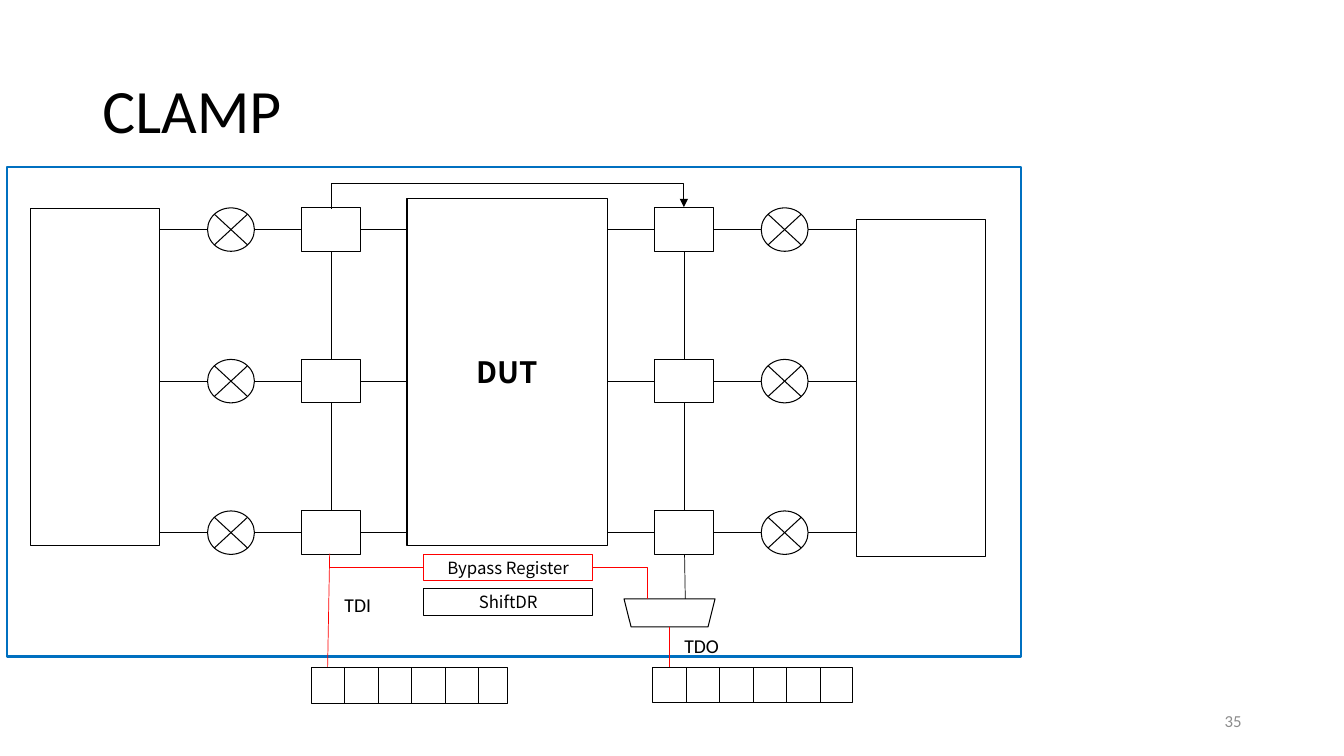
from lxml import etree
from pptx import Presentation
from pptx import util as u
from pptx.dml.color import RGBColor
from pptx.enum import shapes, text
from pptx.oxml import ns

Pt = u.Pt
KIND = shapes.MSO_SHAPE
WIRE = shapes.MSO_CONNECTOR
ALIGN = text.PP_ALIGN
COLORS = {"ink": "000000", "red": "FF0000", "blue": "0070C0", "grey": "8C8C8C"}
LATIN, CJK = "Calibri", "Noto Sans CJK SC"


def color(name):
    return RGBColor.from_string(COLORS[name])


def write(frame, words, ink="ink", align=ALIGN.LEFT, **font):
    frame.text = words
    frame.paragraphs[0].alignment = align
    run = frame.paragraphs[0].runs[0]
    for key, value in font.items():
        setattr(run.font, key, value)
    run.font.color.rgb = color(ink)


def outline(slide, box, kind=KIND.RECTANGLE, ink="ink", weight=0.75):
    part = slide.shapes.add_shape(kind, *map(Pt, box))
    part.shadow.inherit = False
    part.fill.background()
    part.line.color.rgb = color(ink)
    part.line.width = Pt(weight)
    return part


def labelled(slide, box, words, ink="ink", **font):
    part = outline(slide, box, ink=ink)
    frame = part.text_frame
    margins = dict(margin_left=2, margin_right=2, margin_top=1.5, margin_bottom=1.5)
    for key, value in margins.items():
        setattr(frame, key, Pt(value))
    frame.word_wrap = False
    frame.vertical_anchor = text.MSO_ANCHOR.MIDDLE
    write(frame, words, align=ALIGN.CENTER, name=CJK, **font)


def caption(slide, box, words, **font):
    frame = slide.shapes.add_textbox(*map(Pt, box)).text_frame
    frame.word_wrap = True
    write(frame, words, name=LATIN, **font)
    return frame


def wire(slide, start, end, ink="ink", bend=None, turn=0, arrow=False):
    kind = WIRE.STRAIGHT if bend is None else WIRE.ELBOW
    line = slide.shapes.add_connector(kind, *map(Pt, (*start, *end)))
    line.line.color.rgb = color(ink)
    line.line.width = Pt(0.5)
    props = line._element.spPr
    if bend is not None:
        guides = props.find(ns.qn("a:prstGeom")).get_or_add_avLst()
        etree.SubElement(guides, ns.qn("a:gd"), name="adj1", fmla=f"val {round(bend * 100000)}")
    if turn:
        props.find(ns.qn("a:xfrm")).set("rot", str(turn * 60000))
    if arrow:
        etree.SubElement(line.line._get_or_add_ln(), ns.qn("a:tailEnd"), type="triangle")
    etree.SubElement(props, ns.qn("a:effectLst"))


def heading(slide, box):
    title = slide.shapes.title
    for key, value in zip(("left", "top", "width", "height"), box):
        setattr(title, key, Pt(value))
    frame = title.text_frame
    frame.vertical_anchor = text.MSO_ANCHOR.MIDDLE
    write(frame, "CLAMP", name=LATIN, size=Pt(44))
    frame.paragraphs[0].line_spacing = 0.9


def boundary_scan(slide, box):
    """Board with the device, its boundary cells and the outer panels."""
    left, top, width, height = box
    outline(slide, box, ink="blue", weight=1.5)
    dut_left, dut_width = left + 285.75, 143.5
    labelled(slide, (dut_left, top + 23, dut_width, 247.5), "DUT", size=Pt(21), bold=True)
    for x, y in ((16.5, 30), (607, 38)):
        outline(slide, (left + x, top + y, 92.25, 240.5))

    # Three rows of pins, each wired from panel to panel
    rows = [top + 45 + row * 108.25 for row in range(3)]
    cells, junctions = (left + 210.5, left + 462.5), (left + 143.25, left + 538.75)
    cell_width, junction_width, part_height = 42, 33.5, 31
    gaps = [(left + 109, junctions[0]),
            (junctions[0] + junction_width, cells[0]),
            (cells[0] + cell_width, dut_left),
            (dut_left + dut_width, cells[1]),
            (cells[1] + cell_width, junctions[1]),
            (junctions[1] + junction_width, left + 607)]
    for y in rows:
        for x in cells:
            outline(slide, (x, y - part_height / 2, cell_width, part_height))
        for x in junctions:
            outline(slide, (x, y - part_height / 2, junction_width, part_height),
                    KIND.FLOWCHART_SUMMING_JUNCTION)
        for start, end in gaps:
            wire(slide, (start, y), (end, y))

    # Scan chain down each column of cells, joined across the top
    for x in cells:
        middle = x + cell_width / 2
        for upper, lower in zip(rows, rows[1:]):
            wire(slide, (middle, upper + part_height / 2), (middle, lower - part_height / 2))
    span = cells[1] - cells[0]
    centre_x = (sum(cells) + cell_width) / 2
    centre_y = rows[0] - part_height / 2
    wire(slide, (centre_x + 0.5, centre_y + span / 2), (centre_x - 0.5, centre_y - span / 2),
         bend=18, turn=90, arrow=True)


def test_path(slide, box):
    """Registers and multiplexer between TDI and TDO."""
    left, top, width, height = box
    register_left, register_width = left + 68.5, 121
    for y, words, ink in ((0.5, "Bypass Register", "red"), (25, "ShiftDR", "ink")):
        labelled(slide, (register_left, top + y, register_width, 19), words, ink, size=Pt(12))
    mux_top, mux_height = top + 32.25, 20
    mux = outline(slide, (left + 211.75, mux_top, 65, mux_height), KIND.TRAPEZOID)
    mux.rotation = 180

    # Red bypass route from TDI to TDO, and the black scan input
    bypass_y, output_x = top + 10, left + 244.25
    wire(slide, (left + 1.5, top), (left, top + height), "red")
    wire(slide, (left + 1.5, bypass_y), (register_left, bypass_y), "red")
    wire(slide, (register_left + register_width, bypass_y), (left + 228, mux_top), "red", bend=1.02)
    wire(slide, (left + 255, top + 0.5), (left + 255.5, mux_top))
    wire(slide, (output_x, mux_top + mux_height), (output_x, top + height), "red")
    for x, y, pin in ((5, 24.25, "TDI"), (247.75, 53.75, "TDO")):
        caption(slide, (left + x, top + y, 42, 24), pin, size=Pt(14))


def shift_strip(slide, box, last_width):
    left, top, width, height = box
    count = 6
    pitch = (width - last_width) / (count - 1)
    for index in range(count):
        cell = pitch if index < count - 1 else last_width
        outline(slide, (left + index * pitch, top, cell, height))


def page_number(slide, box):
    frame = caption(slide, box, "35", ink="grey", align=ALIGN.RIGHT, size=Pt(12))
    frame.vertical_anchor = text.MSO_ANCHOR.MIDDLE


def main():
    deck = Presentation()
    deck.slide_width, deck.slide_height = Pt(960), Pt(540)
    slide = deck.slides.add_slide(deck.slide_layouts[5])
    heading(slide, (66, 28.75, 828, 104.5))
    boundary_scan(slide, (5, 119, 724.5, 350))
    test_path(slide, (234, 395.5, 277, 81.5))
    shift_strip(slide, (222.5, 477, 140, 25.5), 20.5)
    shift_strip(slide, (466.25, 477, 142.75, 25), 23)
    page_number(slide, (678, 500.5, 216, 28.75))
    deck.save("out.pptx")


if __name__ == "__main__":
    main()
